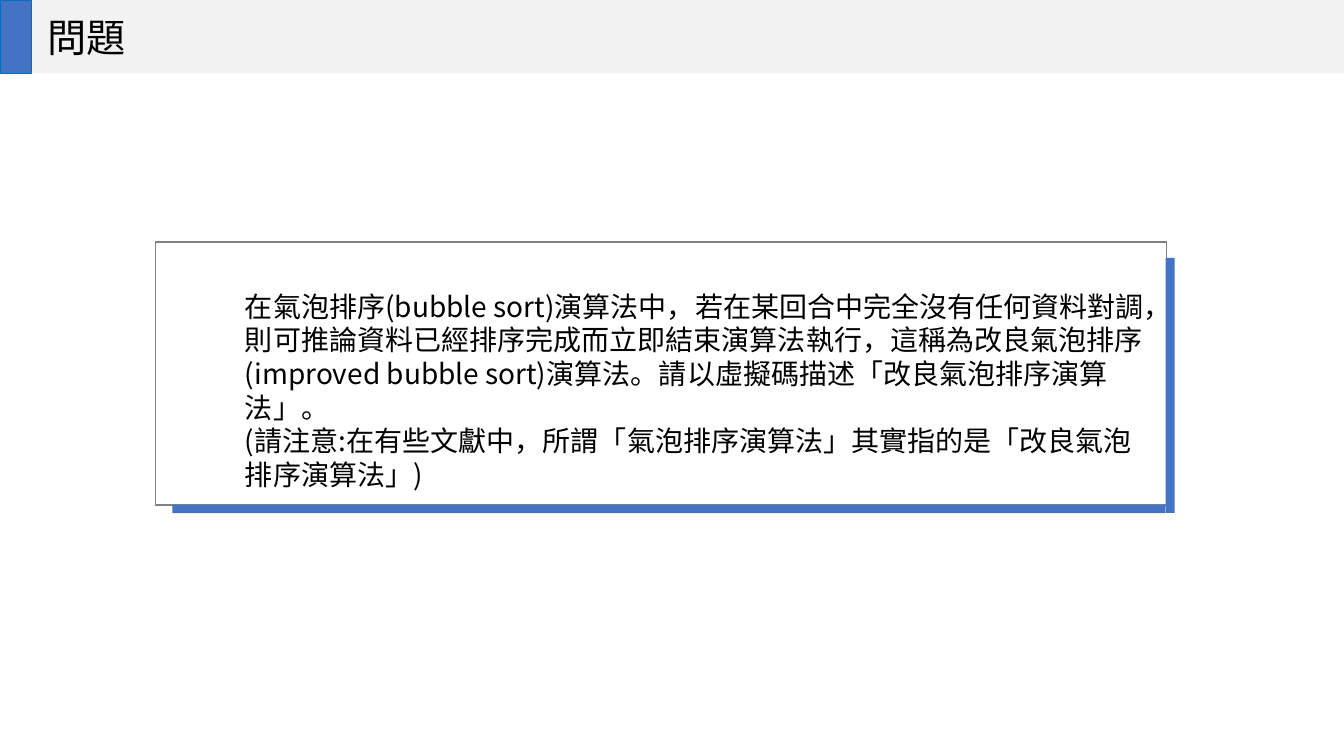
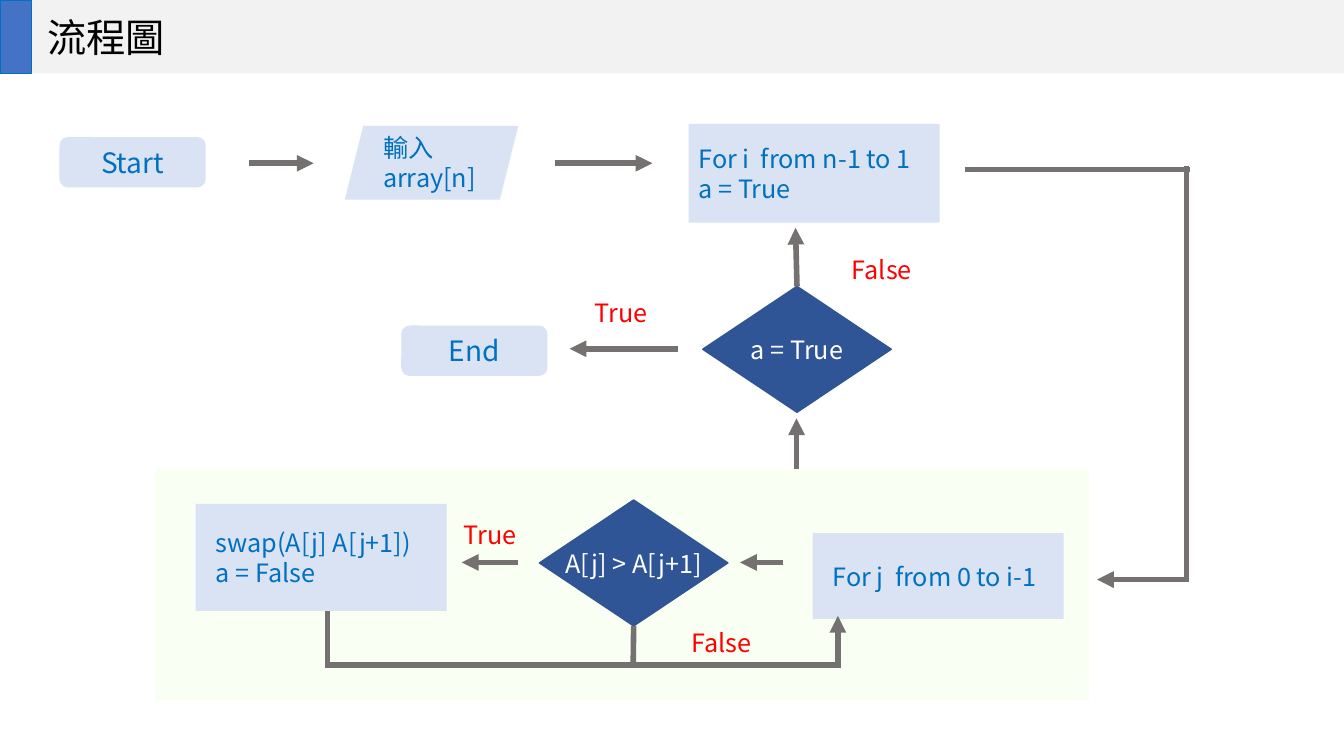
from dataclasses import dataclass

from lxml.etree import SubElement
from pptx import Presentation
from pptx.dml.color import RGBColor
from pptx.enum.shapes import MSO_CONNECTOR, MSO_SHAPE
from pptx.enum.text import MSO_ANCHOR, MSO_AUTO_SIZE, PP_ALIGN
from pptx.oxml.ns import qn
from pptx.shapes.autoshape import Shape
from pptx.shapes.connector import Connector
from pptx.slide import Slide
from pptx.text.text import TextFrame
from pptx.util import Inches, Pt

FONT = "Noto Sans CJK TC"
LINE_PITCH = 1.2
SLIDE_WIDTH, SLIDE_HEIGHT = 13.33, 7.5
HEADER_HEIGHT = 0.73

BLACK = RGBColor(0x00, 0x00, 0x00)
WHITE = RGBColor(0xFF, 0xFF, 0xFF)
BAND_GRAY = RGBColor(0xF2, 0xF2, 0xF2)
CARD_EDGE = RGBColor(0x80, 0x80, 0x80)
ACCENT = RGBColor(0x44, 0x72, 0xC4)
BLUE = RGBColor(0x00, 0x70, 0xC0)
STEP_FILL = RGBColor(0xDA, 0xE3, 0xF3)
DECISION_FILL = RGBColor(0x2F, 0x55, 0x97)
DECISION_EDGE = RGBColor(0x32, 0x54, 0x91)
LOOP_FILL = RGBColor(0xF9, 0xFF, 0xF3)
ARROW_GRAY = RGBColor(0x76, 0x71, 0x71)
RED = RGBColor(0xFF, 0x00, 0x00)

QUESTION = (
    "在氣泡排序(bubble sort)演算法中，若在某回合中完全沒有任何資料對調，"
    "則可推論資料已經排序完成而立即結束演算法執行，"
    "這稱為改良氣泡排序(improved bubble sort)演算法。"
    "請以虛擬碼描述「改良氣泡排序演算法」。",
    "(請注意:在有些文獻中，所謂「氣泡排序演算法」其實指的是「改良氣泡排序演算法」)",
)


@dataclass(frozen=True)
class Box:
    left: float
    top: float
    width: float
    height: float


@dataclass(frozen=True)
class Step:
    """A process box; a step without an inset has centred text."""
    kind: MSO_SHAPE
    box: Box
    lines: tuple[str, ...]
    inset: float | None = None
    size: int = 18


@dataclass(frozen=True)
class Link:
    start: tuple[float, float]
    end: tuple[float, float]
    arrow: bool = True


@dataclass(frozen=True)
class Branch:
    left: float
    top: float
    answer: str


DECISION_SIZE = (1.87, 1.25)
TERMINAL_SIZE = (1.45, 0.5)

STEPS = (
    Step(MSO_SHAPE.ROUNDED_RECTANGLE, Box(0.59, 1.36, *TERMINAL_SIZE), ("Start",), size=20),
    Step(MSO_SHAPE.PARALLELOGRAM, Box(3.42, 1.25, 1.72, 0.73), ("輸入", "array[n]"), 0.16),
    Step(MSO_SHAPE.RECTANGLE, Box(6.83, 1.23, 2.49, 0.98),
         ("For i  from n-1 to 1", "a = True"), 0.1),
    Step(MSO_SHAPE.RECTANGLE, Box(8.06, 5.29, 2.49, 0.85), ("For j  from 0 to i-1",), 0.2),
    Step(MSO_SHAPE.RECTANGLE, Box(1.94, 5, 2.49, 1.06),
         ("swap(A[j] A[j+1])", "a = False"), 0.2),
    Step(MSO_SHAPE.ROUNDED_RECTANGLE, Box(3.98, 3.23, *TERMINAL_SIZE), ("End",), size=20),
)

LINKS = (
    Link((2.47, 1.62), (3.11, 1.62)),
    Link((5.5, 1.62), (6.47, 1.62)),
    # Outer loop into the inner loop
    Link((9.57, 1.68), (11.8, 1.68), arrow=False),
    Link((11.77, 1.65), (11.77, 5.76), arrow=False),
    Link((11.79, 5.75), (10.88, 5.75)),
    # Inner loop
    Link((7.77, 5.58), (7.34, 5.58)),
    Link((5.14, 5.58), (4.58, 5.58)),
    Link((3.25, 6.06), (3.25, 6.63), arrow=False),
    Link((3.25, 6.6), (8.33, 6.6), arrow=False),
    Link((8.31, 6.63), (8.31, 6.11)),
    # Inner loop to the end test
    Link((7.9, 4.65), (7.9, 4.15)),
    Link((6.72, 3.46), (5.65, 3.46)),
)

BRANCHES = (
    Branch(4.5, 5.1, "True"),
    Branch(6.76, 6.17, "False"),
    Branch(5.8, 2.9, "True"),
    Branch(8.35, 2.47, "False"),
)


def place(shape: Shape, box: Box) -> None:
    shape.left, shape.top = Inches(box.left), Inches(box.top)
    shape.width, shape.height = Inches(box.width), Inches(box.height)


def write(frame: TextFrame, lines: tuple[str, ...], size: int, color: RGBColor,
          align: PP_ALIGN = PP_ALIGN.LEFT, indent: float = 0) -> None:
    """Fill the frame with one unbulleted paragraph per line, at a fixed pitch."""
    for index, line in enumerate(lines):
        paragraph = frame.paragraphs[0] if index == 0 else frame.add_paragraph()
        properties = paragraph._p.get_or_add_pPr()
        properties.set("marL", str(Inches(indent)))
        properties.set("indent", "0")
        SubElement(properties, qn("a:buNone"))
        paragraph.alignment = align
        paragraph.space_before = Pt(0)
        paragraph.line_spacing = Pt(size * LINE_PITCH)
        run = paragraph.add_run()
        run.text = line
        run.font.name = FONT
        run.font.size = Pt(size)
        run.font.color.rgb = color
        SubElement(run._r.get_or_add_rPr(), qn("a:ea"), typeface=FONT)


def add_block(slide: Slide, kind: MSO_SHAPE, box: Box, fill: RGBColor,
              edge: RGBColor | None = None) -> Shape:
    block = slide.shapes.add_shape(kind, Inches(box.left), Inches(box.top),
                                   Inches(box.width), Inches(box.height))
    block.shadow.inherit = False
    block.fill.solid()
    block.fill.fore_color.rgb = fill
    if edge is None:
        block.line.fill.background()
    else:
        block.line.color.rgb = edge
        block.line.width = Pt(1)
    return block


def add_link(slide: Slide, link: Link) -> Connector:
    connector = slide.shapes.add_connector(
        MSO_CONNECTOR.STRAIGHT, *(Inches(value) for value in link.start + link.end))
    connector.line.color.rgb = ARROW_GRAY
    connector.line.width = Pt(4)
    if link.arrow:
        SubElement(connector.line._get_or_add_ln(), qn("a:tailEnd"), type="triangle")
    SubElement(connector._element.spPr, qn("a:effectLst"))
    return connector


def add_step(slide: Slide, step: Step) -> None:
    block = add_block(slide, step.kind, step.box, STEP_FILL)
    frame = block.text_frame
    frame.word_wrap = True
    frame.vertical_anchor = MSO_ANCHOR.MIDDLE
    frame.margin_top = frame.margin_bottom = frame.margin_right = 0
    frame.margin_left = Inches(step.inset or 0)
    align = PP_ALIGN.CENTER if step.inset is None else PP_ALIGN.LEFT
    write(frame, step.lines, step.size, BLUE, align)


def add_decision(slide: Slide, left: float, top: float, test: str) -> Shape:
    decision = add_block(slide, MSO_SHAPE.FLOWCHART_DECISION,
                         Box(left, top, *DECISION_SIZE), DECISION_FILL, DECISION_EDGE)
    decision.text_frame.word_wrap = False
    decision.text_frame.vertical_anchor = MSO_ANCHOR.MIDDLE
    write(decision.text_frame, (test,), 18, WHITE, PP_ALIGN.CENTER)
    return decision


def add_branch(slide: Slide, branch: Branch) -> None:
    label = slide.shapes.add_textbox(Inches(branch.left), Inches(branch.top),
                                     Inches(1.1), Inches(0.4))
    label.text_frame.word_wrap = True
    write(label.text_frame, (branch.answer,), 18, RED)


def move_header_to_master(prs: Presentation, slide: Slide) -> None:
    """Draw the header bands once and keep them on the master, behind every title."""
    bands = (
        add_block(slide, MSO_SHAPE.RECTANGLE,
                  Box(0, 0, SLIDE_WIDTH, HEADER_HEIGHT), BAND_GRAY),
        add_block(slide, MSO_SHAPE.RECTANGLE,
                  Box(0, 0, 0.31, HEADER_HEIGHT), ACCENT, BLUE),
    )
    for position, band in enumerate(bands, start=2):
        prs.slide_master.shapes._spTree.insert(position, band._element)


def set_title(slide: Slide, text: str) -> None:
    title = slide.shapes.title
    place(title, Box(0.37, 0.08, 12.5, 0.57))
    title.text_frame.auto_size = MSO_AUTO_SIZE.NONE
    title.text_frame.vertical_anchor = MSO_ANCHOR.TOP
    write(title.text_frame, (text,), 28, BLACK)


def build_question(slide: Slide) -> None:
    set_title(slide, "問題")
    add_block(slide, MSO_SHAPE.RECTANGLE, Box(1.54, 2.4, 10.03, 2.61), WHITE, CARD_EDGE)
    for edge_bar in (Box(1.71, 5.01, 9.85, 0.08), Box(11.56, 2.56, 0.09, 2.53)):
        add_block(slide, MSO_SHAPE.RECTANGLE, edge_bar, ACCENT)
    question = slide.placeholders[1]
    place(question, Box(1.83, 2.82, 9.74, 2.12))
    question.text_frame.auto_size = MSO_AUTO_SIZE.NONE
    question.text_frame.vertical_anchor = MSO_ANCHOR.TOP
    write(question.text_frame, QUESTION, 20, BLACK, indent=0.5)
    slide.shapes._spTree.append(question._element)  # in front of the card


def build_flowchart(slide: Slide) -> None:
    set_title(slide, "流程圖")
    add_block(slide, MSO_SHAPE.RECTANGLE, Box(1.54, 4.65, 9.26, 2.3), LOOP_FILL)
    for step in STEPS:
        add_step(slide, step)
    swap_test = add_decision(slide, 5.35, 4.96, "A[j] > A[j+1]")
    end_test = add_decision(slide, 6.97, 2.84, "a = True")
    for link in LINKS:
        add_link(slide, link)
    add_link(slide, Link((7.9, 2.84), (7.89, 2.26))).begin_connect(end_test, 0)
    add_link(slide, Link((6.28, 6.6), (6.28, 6.21), arrow=False)).end_connect(swap_test, 2)
    for branch in BRANCHES:
        add_branch(slide, branch)


def main() -> None:
    prs = Presentation()
    prs.slide_width, prs.slide_height = Inches(SLIDE_WIDTH), Inches(SLIDE_HEIGHT)
    question_slide = prs.slides.add_slide(prs.slide_layouts.get_by_name("Title and Content"))
    flowchart_slide = prs.slides.add_slide(prs.slide_layouts.get_by_name("Title Only"))
    move_header_to_master(prs, question_slide)
    build_question(question_slide)
    build_flowchart(flowchart_slide)
    prs.save("out.pptx")


if __name__ == "__main__":
    main()
